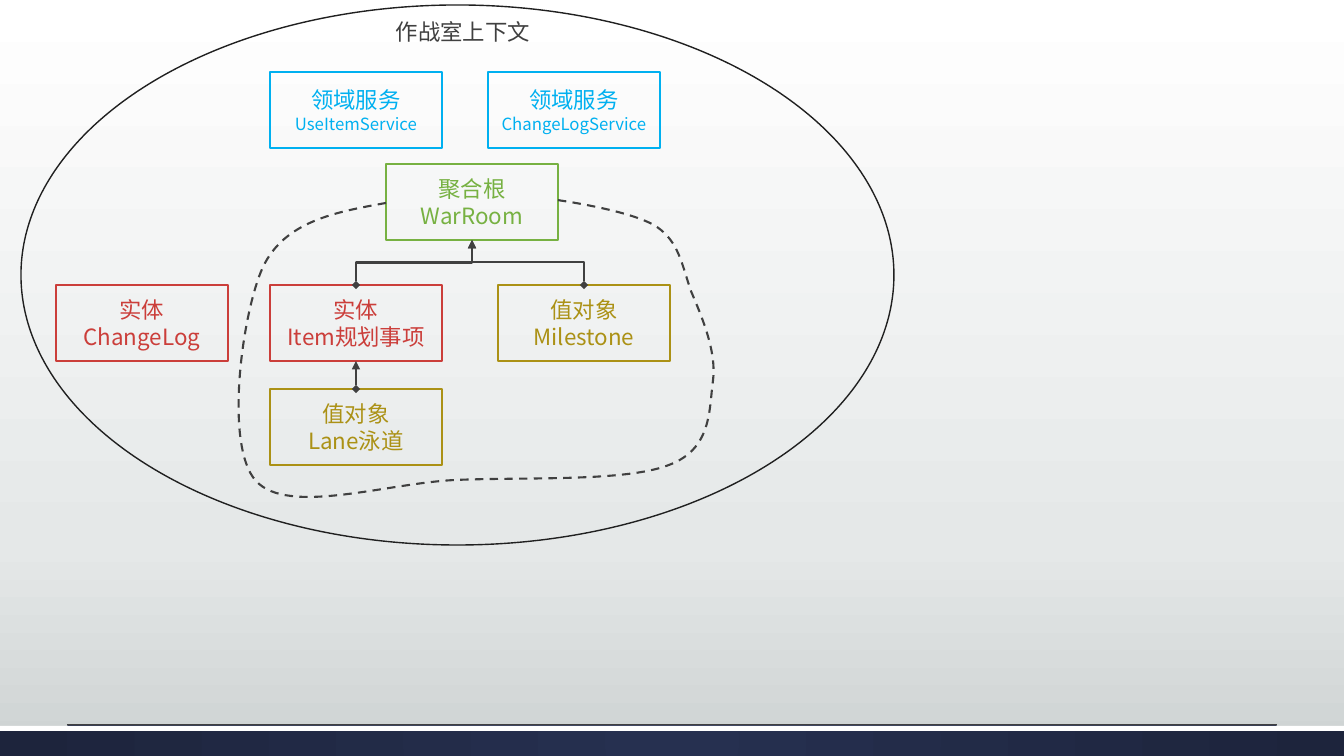
from lxml.etree import SubElement
from pptx import Presentation
from pptx.dml.color import RGBColor
from pptx.enum.dml import MSO_LINE
from pptx.enum.shapes import MSO_CONNECTOR, MSO_SHAPE
from pptx.enum.text import MSO_ANCHOR, PP_ALIGN
from pptx.oxml.ns import qn
from pptx.util import Pt

EMU_PER_PX = 914400 / 100.8
SLIDE_W, SLIDE_H = 1344, 756
BOX_W, BOX_H = 172, 76
FONT = "Noto Sans CJK SC"
INK, RED, GREEN, GOLD, BLUE = "404040", "CB3E3A", "77B142", "AB9115", "00B0F0"
TOP_SITE, BOTTOM_SITE = 0, 2

BOUNDARY_FRAME = (239, 200, 714, 497)
BOUNDARY_START = (386, 203)
# Two control points and an end point for each curve
BOUNDARY_CURVES = [
    [(336, 212), (285, 221), (263, 267)],
    [(242, 313), (224, 446), (256, 481)],
    [(288, 516), (387, 483), (456, 480)],
    [(524, 477), (626, 482), (669, 465)],
    [(712, 449), (709, 410), (713, 381)],
    [(717, 352), (702, 317), (691, 291)],
    [(682, 265), (679, 242), (657, 227)],
    [(635, 212), (571, 202), (557, 200)],
]


def px(length):
    return round(length * EMU_PER_PX)


def rgb(color):
    return RGBColor.from_string(color)


def set_gradient(fill, owner, stops, radial=False):
    """Fill with (percent, colour) stops, top to bottom or from the centre."""
    fill.gradient()
    fill.gradient_angle = 270
    gradient = owner.find(".//" + qn("a:gradFill"))
    stop_list = gradient.find(qn("a:gsLst"))
    for old_stop in list(stop_list):
        stop_list.remove(old_stop)
    for percent, color in stops:
        stop = SubElement(stop_list, qn("a:gs"), pos=str(percent * 1000))
        SubElement(stop, qn("a:srgbClr"), val=color)
    if radial:
        gradient.remove(gradient.find(qn("a:lin")))
        circle = SubElement(gradient, qn("a:path"), {"path": "circle"})
        SubElement(circle, qn("a:fillToRect"), l="50000", t="50000", r="50000", b="50000")


def set_line(line, color, width):
    line.color.rgb = rgb(color)
    line.width = Pt(width)


def style_run(run, color, size):
    run.font.name = FONT
    run.font.size = Pt(size)
    run.font.color.rgb = rgb(color)
    SubElement(run.font._element, qn("a:ea"), typeface=FONT)


def add_plain_shape(slide, kind, left, top, width, height):
    shape = slide.shapes.add_shape(kind, px(left), px(top), px(width), px(height))
    shape.shadow.inherit = False
    shape.fill.background()
    shape.line.fill.background()
    return shape


def add_flat_connector(slide, kind, start, end, color, width):
    connector = slide.shapes.add_connector(kind, *map(px, start + end))
    set_line(connector.line, color, width)
    SubElement(connector._element.spPr, qn("a:effectLst"))
    return connector


def add_footer(slide):
    band = add_plain_shape(slide, MSO_SHAPE.RECTANGLE, 0, 726, SLIDE_W, 30)
    set_gradient(band.fill, band._element, [(0, "263050"), (100, "1D243C")], radial=True)
    edge = add_plain_shape(slide, MSO_SHAPE.RECTANGLE, 0, 726, SLIDE_W, 5)
    edge.fill.solid()
    edge.fill.fore_color.rgb = rgb("FFFFFF")
    add_flat_connector(slide, MSO_CONNECTOR.STRAIGHT, (67, 725), (1277, 725), INK, 0.75)


def add_context(slide):
    context = add_plain_shape(slide, MSO_SHAPE.OVAL, 21, 5, 873, 540)
    set_line(context.line, "202020", 1)
    title = slide.shapes.add_textbox(px(386), px(13), px(BOX_W), px(37))
    title.text_frame.word_wrap = True
    title.text_frame.text = "作战室上下文"
    style_run(title.text_frame.paragraphs[0].runs[0], INK, 16)


def add_model_box(slide, left, top, role, name, color, name_size=16):
    box = add_plain_shape(slide, MSO_SHAPE.RECTANGLE, left, top, BOX_W, BOX_H)
    set_line(box.line, color, 1.5)
    frame = box.text_frame
    frame.vertical_anchor = MSO_ANCHOR.MIDDLE
    frame.text = f"{role}\n{name}"
    for paragraph, size in zip(frame.paragraphs, (16, name_size)):
        paragraph.alignment = PP_ALIGN.CENTER
        style_run(paragraph.runs[0], color, size)
    return box


def add_part_of(slide, part, whole):
    """Lead an elbow arrow from the top of part up to the bottom of whole."""
    start_x, start_y = part.left + part.width // 2, part.top
    end_x, end_y = whole.left + whole.width // 2, whole.top + whole.height
    arrow = add_flat_connector(slide, MSO_CONNECTOR.ELBOW, (0, 0), (0, 0), INK, 1.5)
    arrow.begin_connect(part, TOP_SITE)
    arrow.end_connect(whole, BOTTOM_SITE)

    # A quarter turn makes the elbow leave and arrive vertically
    rise, run = start_y - end_y, end_x - start_x
    arrow.width, arrow.height = rise, abs(run)
    arrow.left = (start_x + end_x - rise) // 2
    arrow.top = (start_y + end_y - abs(run)) // 2
    transform = arrow._element.spPr.xfrm
    transform.rot = 270
    transform.flipH = False
    transform.flipV = run < 0

    line = arrow.line._get_or_add_ln()
    SubElement(line, qn("a:headEnd"), type="diamond")
    SubElement(line, qn("a:tailEnd"), type="triangle")


def add_aggregate_boundary(slide):
    left, top, right, bottom = BOUNDARY_FRAME
    builder = slide.shapes.build_freeform(left, top, scale=EMU_PER_PX)
    builder.add_line_segments([(right, bottom)], close=False)
    boundary = builder.convert_to_shape()
    boundary.shadow.inherit = False
    boundary.fill.background()
    set_line(boundary.line, INK, 1.5)
    boundary.line.dash_style = MSO_LINE.DASH

    outline = boundary._element.find(".//" + qn("a:path"))
    for step in list(outline):
        outline.remove(step)
    steps = [("a:moveTo", [BOUNDARY_START])]
    steps += [("a:cubicBezTo", curve) for curve in BOUNDARY_CURVES]
    for tag, points in steps:
        step = SubElement(outline, qn(tag))
        for x, y in points:
            SubElement(step, qn("a:pt"), x=str(x - left), y=str(y - top))


def main():
    presentation = Presentation()
    presentation.slide_width, presentation.slide_height = px(SLIDE_W), px(SLIDE_H)
    slide = presentation.slides.add_slide(presentation.slide_layouts[6])
    set_gradient(slide.background.fill, slide._element,
                 [(0, "FFFFFF"), (72, "E5E8E8"), (100, "CDD2D2")])
    add_footer(slide)
    add_context(slide)

    add_model_box(slide, 270, 72, "领域服务", "UseItemService", BLUE, 12)
    add_model_box(slide, 488, 72, "领域服务", "ChangeLogService", BLUE, 12)
    add_model_box(slide, 56, 285, "实体", "ChangeLog", RED)
    war_room = add_model_box(slide, 386, 164, "聚合根", "WarRoom", GREEN)
    item = add_model_box(slide, 270, 285, "实体", "Item规划事项", RED)
    milestone = add_model_box(slide, 498, 285, "值对象", "Milestone", GOLD)
    lane = add_model_box(slide, 270, 389, "值对象", "Lane泳道", GOLD)

    for part, whole in ((item, war_room), (milestone, war_room), (lane, item)):
        add_part_of(slide, part, whole)
    add_aggregate_boundary(slide)
    presentation.save("out.pptx")


if __name__ == "__main__":
    main()
